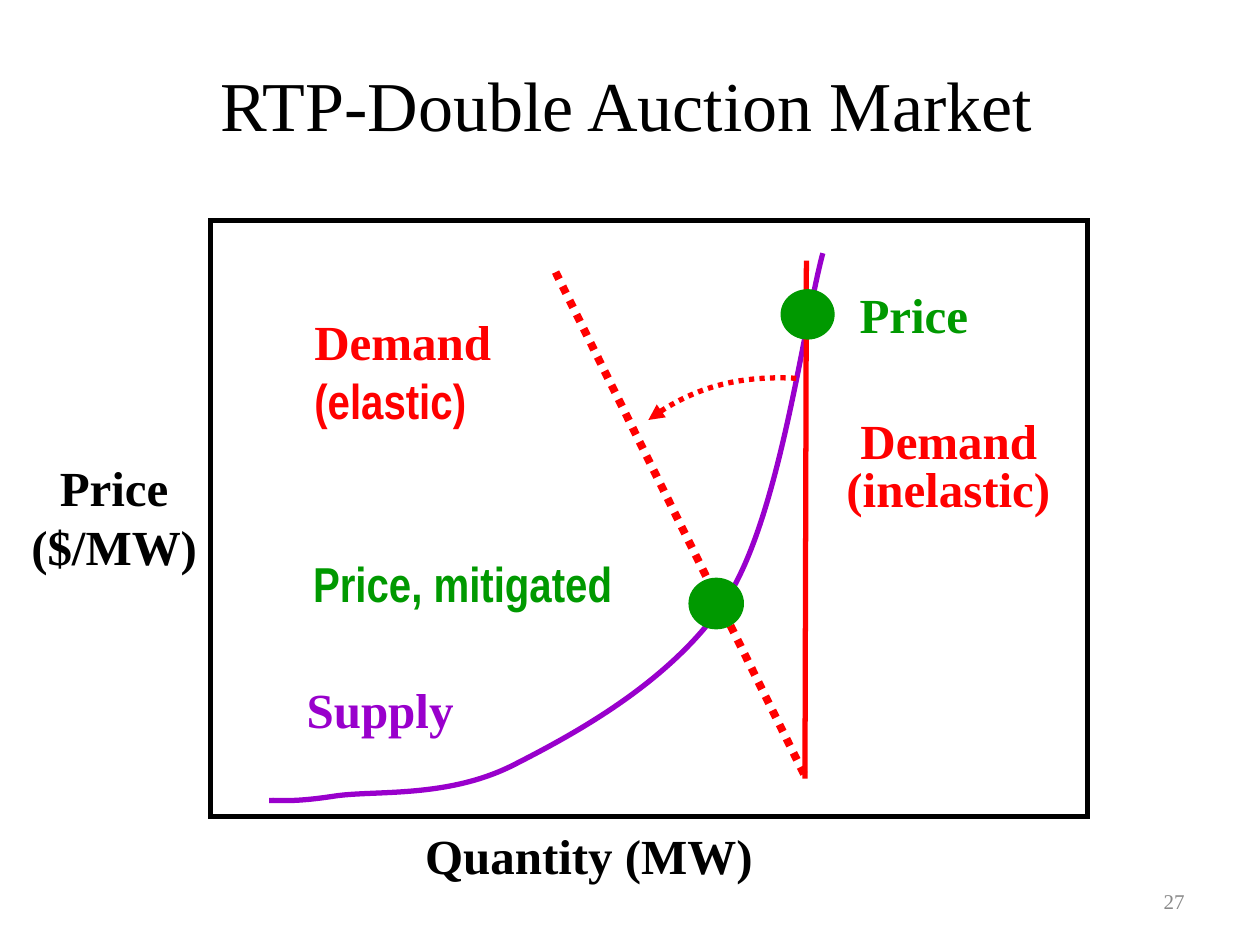
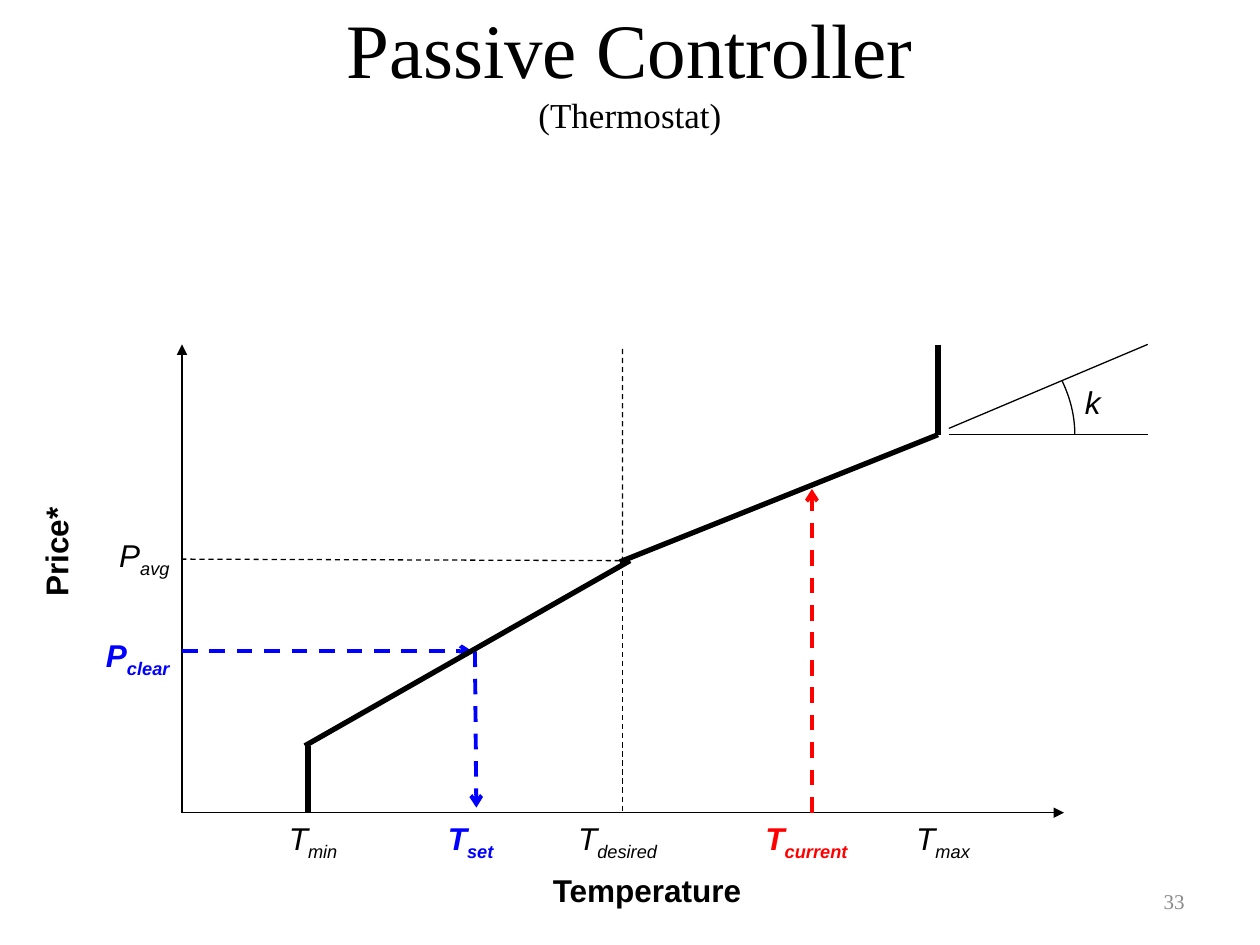
from pptx import Presentation
from pptx.dml.color import RGBColor
from pptx.enum.dml import MSO_LINE
from pptx.enum.shapes import MSO_CONNECTOR, MSO_SHAPE
from pptx.enum.text import MSO_ANCHOR, MSO_AUTO_SIZE, PP_ALIGN
from pptx.oxml.ns import qn
from pptx.util import Pt
from lxml.etree import SubElement

BLACK = RGBColor(0, 0, 0)
WHITE = RGBColor(255, 255, 255)
RED = RGBColor(255, 0, 0)
BLUE = RGBColor(0, 0, 255)
GREEN = RGBColor(0, 0x99, 0)
PURPLE = RGBColor(0x99, 0, 0xCC)
GRAY = RGBColor(0x89, 0x89, 0x89)
SERIF, SANS, NARROW = "Times New Roman", "Arial", "Arial Narrow"
LEFT, CENTER, RIGHT = PP_ALIGN.LEFT, PP_ALIGN.CENTER, PP_ALIGN.RIGHT
DOT, DASH = MSO_LINE.ROUND_DOT, MSO_LINE.DASH


def add_text(s, box, text, font=SERIF, size=28, color=BLACK, bold=False,
             italic=False, align=LEFT, wrap=False):
    """Each line is a paragraph; what follows "_" is a subscript."""
    sp = s.shapes.add_textbox(*[Pt(v) for v in box])
    tf = sp.text_frame
    tf.word_wrap = wrap
    tf.auto_size = MSO_AUTO_SIZE.SHAPE_TO_FIT_TEXT
    for i, line in enumerate(text.split("\n")):
        p = tf.add_paragraph() if i else tf.paragraphs[0]
        base, _, sub = line.partition("_")
        p.text = base
        p.alignment = align
        p.font.name, p.font.size = font, Pt(size)
        p.font.bold, p.font.italic = bold, italic
        p.font.color.rgb = color
        if sub:
            r = p.add_run()
            r.text = sub
            r.font._element.set("baseline", "-25000")
    return sp


def draw(s, points, color=BLACK, width=0.75, dash=None, arrow=None):
    """Two points give a straight line; 3n + 1 points give n joined cubic curves."""
    points = [(Pt(x), Pt(y)) for x, y in points]
    if len(points) == 2:
        sp = s.shapes.add_connector(MSO_CONNECTOR.STRAIGHT, *points[0], *points[1])
    else:
        fb = s.shapes.build_freeform(*points[0])
        fb.add_line_segments(points[1:], close=False)
        sp = fb.convert_to_shape()
        sp.fill.background()
        # Turn each three segments into one cubic curve
        path = next(sp._element.iter(qn("a:path")))
        segments = path.findall(qn("a:lnTo"))
        for i, segment in enumerate(segments):
            if i % 3 == 0:
                curve = SubElement(path, qn("a:cubicBezTo"))
            curve.append(segment[0])
            path.remove(segment)
    sp.line.color.rgb = color
    sp.line.width = Pt(width)
    if dash:
        sp.line.dash_style = dash
    spPr = sp._element.spPr
    if arrow:
        SubElement(spPr.find(qn("a:ln")), qn("a:tailEnd"), type=arrow)
    SubElement(spPr, qn("a:effectLst"))


prs = Presentation()
prs.slide_width, prs.slide_height = Pt(720), Pt(540)

# Shared: background, title and slide number
slides = []
for title, subtitle, size, box, number in [
    ("RTP-Double Auction Market", "", 40, (38.2, 30.2, 639.4, 58.3), "27"),
    ("Passive Controller", "(Thermostat)", 44, (36, -5.8, 648, 90), "33"),
]:
    s = prs.slides.add_slide(prs.slide_layouts[5])
    s.background.fill.solid()
    s.background.fill.fore_color.rgb = WHITE
    sp = s.shapes.title
    sp.left, sp.top, sp.width, sp.height = [Pt(v) for v in box]
    tf = sp.text_frame
    tf.auto_size = MSO_AUTO_SIZE.NONE
    tf.vertical_anchor = MSO_ANCHOR.MIDDLE
    p = tf.paragraphs[0]
    p.text = title
    p.alignment = CENTER
    p.font.name, p.font.size = SERIF, Pt(size)
    p.font.color.rgb = BLACK
    if subtitle:
        p.add_line_break()
        r = p.add_run()
        r.text = subtitle
        r.font.size = Pt(20)
    sp = add_text(s, (516, 500.5, 168, 28.8), number, size=12, color=GRAY,
                  align=RIGHT, wrap=True)
    sp.text_frame.auto_size = MSO_AUTO_SIZE.NONE
    sp.text_frame.vertical_anchor = MSO_ANCHOR.MIDDLE
    slides.append(s)

# Slide 1: supply and demand curves
s = slides[0]
draw(s, [(153.8, 457.4), (159.8, 457.2), (167, 458.6), (190.8, 455),
         (213.8, 451.4), (255.6, 456.5), (293.8, 437),
         (331.9, 417.6), (388, 386.6), (417.6, 338.4),
         (446.4, 289.4), (459.4, 185), (470.2, 144.7)], PURPLE, 3)
draw(s, [(455, 216.2), (424, 214.5), (394, 222), (370.5, 240)], RED, 3, DOT, "triangle")
draw(s, [(317.5, 155.5), (460, 443.5)], RED, 4.5, DOT)
draw(s, [(460.8, 149), (460, 445)], RED, 3)

# Price points and plot frame
for shape, box, color, width in [
    (MSO_SHAPE.OVAL, (446.4, 165.6, 30.2, 28.1), GREEN, 0.75),
    (MSO_SHAPE.OVAL, (393.8, 330.5, 31, 28.8), GREEN, 0.75),
    (MSO_SHAPE.RECTANGLE, (120.2, 126, 501.1, 340.6), BLACK, 3),
]:
    sp = s.shapes.add_shape(shape, *[Pt(v) for v in box])
    sp.shadow.inherit = False
    sp.line.color.rgb = color
    sp.line.width = Pt(width)
    if shape == MSO_SHAPE.OVAL:
        sp.fill.solid()
        sp.fill.fore_color.rgb = color
    else:
        sp.fill.background()
        SubElement(sp._element.spPr.find(qn("a:ln")), qn("a:miter"), lim="800000")

# Curve and axis labels
sp = add_text(s, (172.6, 174.6, 115.2, 74.9), "Demand\n(elastic)", color=RED, bold=True)
sp.text_frame.paragraphs[1].font.name = NARROW
for box, text in [((484.6, 234.7, 115.2, 37.4), "Demand"),
                  ((476.6, 262.1, 131, 37.4), "(inelastic)")]:
    tf = add_text(s, box, text, color=RED, bold=True).text_frame
    tf.vertical_anchor = MSO_ANCHOR.BOTTOM
    tf.paragraphs[0].line_spacing = 0.9
for box, text, font, color in [
    ((167.2, 384.5, 100, 41), "Supply", SERIF, PURPLE),
    ((484.1, 159.1, 76.3, 41), "Price", SERIF, GREEN),
    ((171.8, 312.5, 185, 41), "Price, mitigated", NARROW, GREEN),
    ((235.6, 468, 201.8, 41), "Quantity (MW)", SERIF, BLACK),
    ((10, 257.8, 110.4, 74.9), "Price\v($/MW)", SERIF, BLACK),
]:
    add_text(s, box, text, font, color=color, bold=True, align=CENTER)

# Slide 2: axes and guide lines
s = slides[1]
X0, Y0 = 104, 464.4
for end in [(608, Y0), (X0, 196.8)]:
    draw(s, [(X0, Y0), end], arrow="triangle")
for points in [[(355.8, 326.2), (355.8, Y0)], [(355.7, 199.4), (355.8, 321.1)],
               [(354.2, 320.4), (104.4, 319.5)]]:
    draw(s, points, dash=DASH)

# Angle k
draw(s, [(542.2, 244.8), (655.9, 196.8)])
draw(s, [(542.2, 248.4), (655.9, 248.4)])
draw(s, [(607, 217.8), (611.6, 227.5), (614.2, 237.6), (614.2, 248.4)])
add_text(s, (612.9, 215.5, 23, 28.8), "k", SANS, 18, italic=True)

# Clearing price and current temperature
for points, color in [([(X0, 372.2), (270, 372.2)], BLUE),
                      ([(271.4, 372.2), (272.2, 461.5)], BLUE),
                      ([(464, Y0), (464, 279.4)], RED)]:
    draw(s, points, color, 2.25, DASH, "arrow")

# Response curve
for points in [[(176, Y0), (176, 426.2)], [(354.2, 321.1), (536, 248.4)],
               [(536, 248.4), (536, 197.3)], [(174.2, 426.2), (360, 320.4)]]:
    draw(s, points, width=3)

# Temperature and price labels
for x, y, text, color, align in [
    (140, Y0, "T_min", BLACK, CENTER),
    (230, Y0, "T_set", BLUE, CENTER),
    (314, Y0, "T_desired", BLACK, CENTER),
    (422, Y0, "T_current", RED, CENTER),
    (500, Y0, "T_max", BLACK, CENTER),
    (26.2, 302.7, "P_avg", BLACK, RIGHT),
    (26.2, 360, "P_clear", BLUE, RIGHT),
]:
    add_text(s, (x, y, 77.8, 31.7), text, SANS, 18, color, color != BLACK, True, align, True)
add_text(s, (308.8, 494.2, 123.1, 28.8), "Temperature", SANS, 18, bold=True)
sp = add_text(s, (-0.9, 301, 65.5, 28.8), "Price*", SANS, 18, bold=True)
sp.rotation = 270

prs.save("out.pptx")
